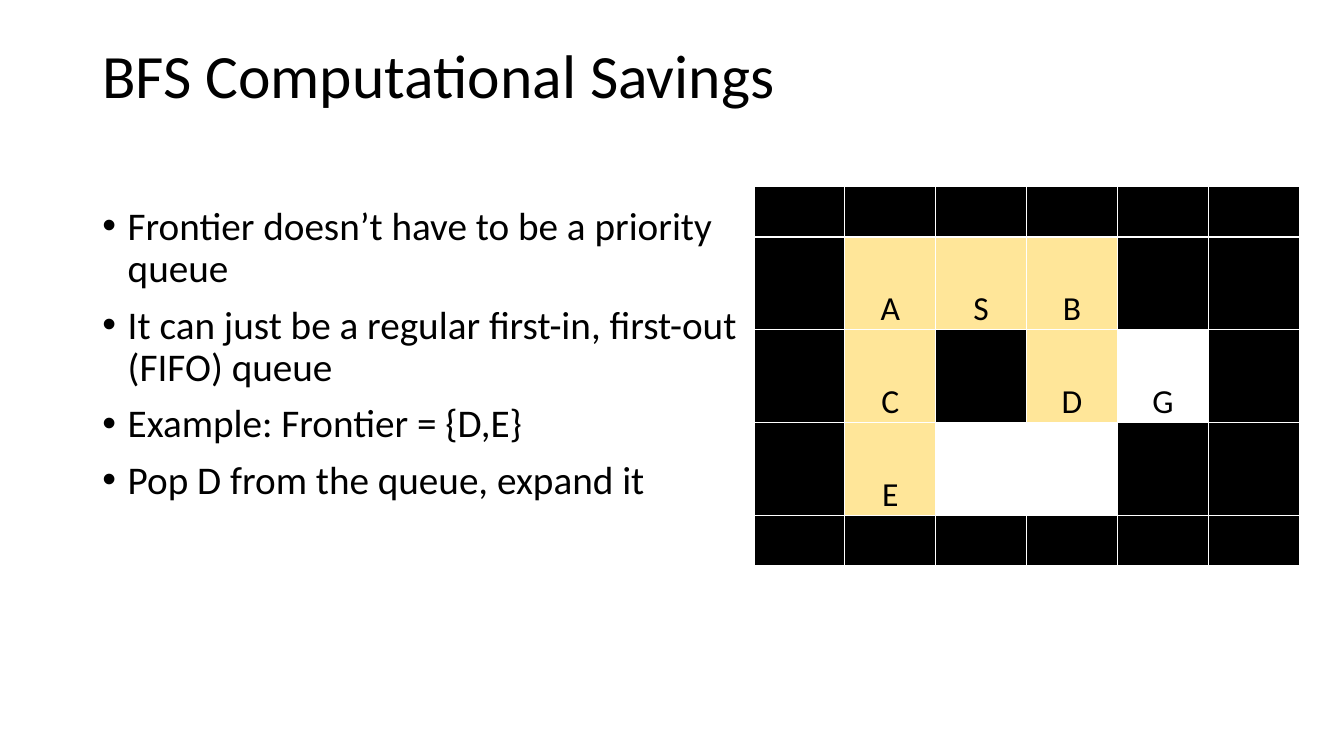
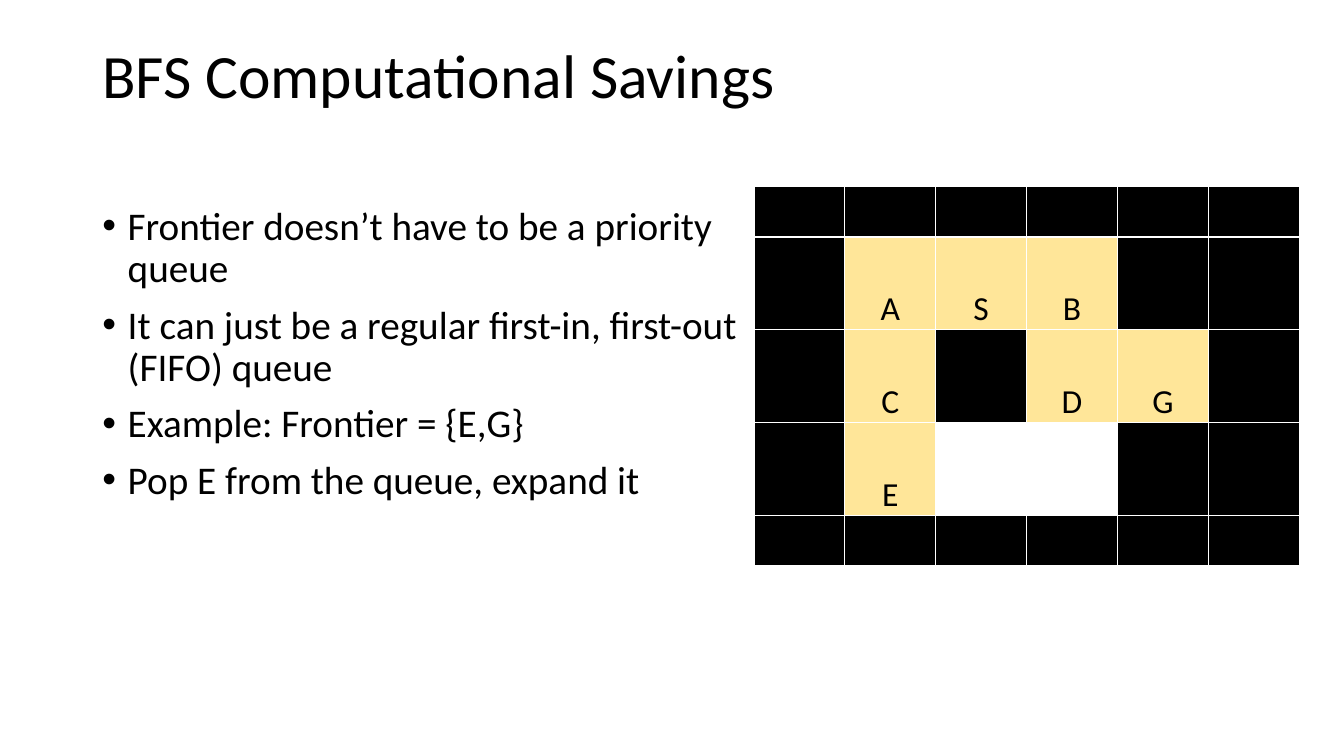
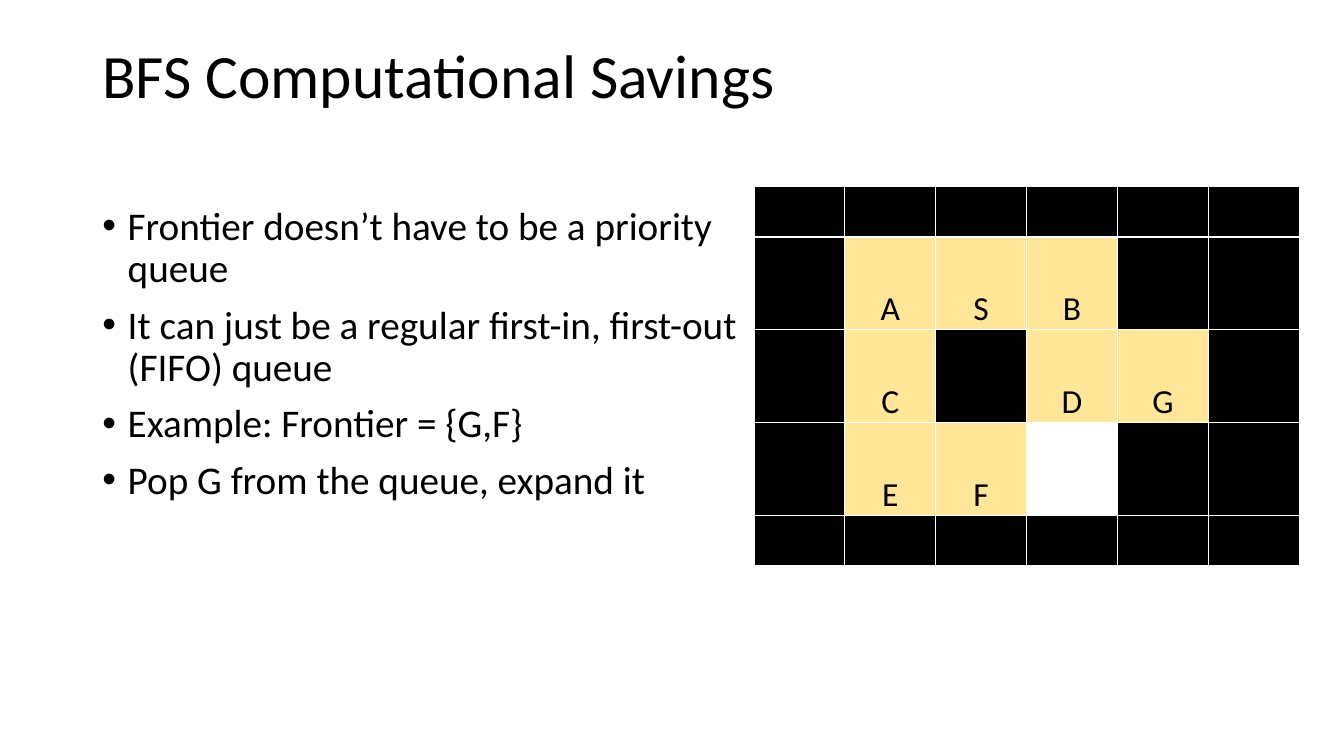
from lxml import etree
from pptx import Presentation
from pptx.dml.color import RGBColor
from pptx.enum.text import MSO_ANCHOR, MSO_AUTO_SIZE, PP_ALIGN
from pptx.oxml.ns import qn
from pptx.util import Cm, Pt

LEFT, CENTER = PP_ALIGN.LEFT, PP_ALIGN.CENTER
TOP, BOTTOM = MSO_ANCHOR.TOP, MSO_ANCHOR.BOTTOM
NO_AUTOFIT = MSO_AUTO_SIZE.NONE

BLACK = RGBColor(0x00, 0x00, 0x00)
WHITE = RGBColor(0xFF, 0xFF, 0xFF)
SAND = RGBColor(0xFF, 0xE6, 0x99)

TITLE_ONLY = 5
MARGIN_LEFT = 2.33
INDENT = Cm(0.64)
COLUMN_WIDTH = 2.29
WALL_HEIGHT, PATH_HEIGHT = 1.27, 2.34

# '#' is a wall, '.' an unnamed square, a letter a named square
MAZE = ("######",
        "#ASB##",
        "#C#DG#",
        "#EF.##",
        "######")
WALL, GOAL = "#", "G"

# squares reached so far, frontier queue
STEPS = (("SABCDE", "DE"),
         ("SABCDEG", "EG"),
         ("SABCDEGF", "GF"))


def apply_format(target, values):
    for attribute, value in values.items():
        setattr(target, attribute, value)


class Deck:
    """Shared style and the slide being built."""

    font_name = "Calibri"

    def __init__(self):
        self.prs = Presentation()
        self.prs.slide_width, self.prs.slide_height = Cm(33.87), Cm(19.05)
        self.slide = None

    def add_text(self, paragraph, text, size, **layout):
        run = paragraph.add_run()
        run.text = text
        apply_format(run.font, {"name": self.font_name, "size": Pt(size)})
        run.font.color.rgb = BLACK
        apply_format(paragraph, layout)

    def add_slide(self, heading):
        layout = self.prs.slide_layouts[TITLE_ONLY]
        self.slide = self.prs.slides.add_slide(layout)
        title = self.slide.shapes.title
        apply_format(title, {"left": Cm(MARGIN_LEFT), "top": Cm(1.02),
                             "width": Cm(29.21), "height": Cm(3.68)})
        apply_format(title.text_frame, {"vertical_anchor": TOP, "word_wrap": True,
                                        "auto_size": NO_AUTOFIT})
        self.add_text(title.text_frame.paragraphs[0], heading, 44,
                      alignment=LEFT, line_spacing=0.9)

    def add_bullets(self, items):
        frame = self.slide.shapes.add_textbox(
            Cm(MARGIN_LEFT), Cm(5.08), Cm(16.93), Cm(12.09)).text_frame
        frame.word_wrap = True
        for index, item in enumerate(items):
            paragraph = frame.add_paragraph() if index else frame.paragraphs[0]
            self.add_text(paragraph, item, 28, line_spacing=0.9, space_before=Pt(10))
            properties = paragraph._p.get_or_add_pPr()
            properties.set("marL", str(INDENT))
            properties.set("indent", str(-INDENT))
            etree.SubElement(properties, qn("a:buFont"), typeface="Arial")
            etree.SubElement(properties, qn("a:buChar"), char="•")

    def add_maze(self, reached):
        heights = [WALL_HEIGHT if set(row) == {WALL} else PATH_HEIGHT
                   for row in MAZE]
        columns = len(MAZE[0])
        table = self.slide.shapes.add_table(
            len(MAZE), columns, Cm(19), Cm(4.7),
            Cm(COLUMN_WIDTH * columns), Cm(sum(heights))).table
        for column in table.columns:
            column.width = Cm(COLUMN_WIDTH)
        for r, squares in enumerate(MAZE):
            table.rows[r].height = Cm(heights[r])
            for c, square in enumerate(squares):
                self.fill_square(table.cell(r, c), square, reached)

    def fill_square(self, cell, square, reached):
        self.add_borders(cell)
        cell.fill.solid()
        cell.fill.fore_color.rgb = (BLACK if square == WALL else
                                    SAND if square in reached else WHITE)
        if square in reached or square == GOAL:
            apply_format(cell, {"vertical_anchor": BOTTOM, "margin_left": Cm(0.03),
                                "margin_right": Cm(0.03), "margin_top": Cm(0.03),
                                "margin_bottom": 0})
            self.add_text(cell.text_frame.paragraphs[0], square, 24,
                          alignment=CENTER)

    def add_borders(self, cell):
        properties = cell._tc.get_or_add_tcPr()
        for side in ("a:lnL", "a:lnR", "a:lnT", "a:lnB"):
            line = etree.SubElement(properties, qn(side), w=str(Pt(1)))
            fill = etree.SubElement(line, qn("a:solidFill"))
            etree.SubElement(fill, qn("a:srgbClr"), val=str(WHITE))


def main():
    deck = Deck()
    for reached, frontier in STEPS:
        deck.add_slide("BFS Computational Savings")
        deck.add_bullets((
            "Frontier doesn’t have to be a priority queue",
            "It can just be a regular first-in, first-out (FIFO) queue",
            f"Example: Frontier = {{{','.join(frontier)}}}",
            f"Pop {frontier[0]} from the queue, expand it"))
        deck.add_maze(reached)
    deck.prs.save("out.pptx")


if __name__ == "__main__":
    main()
